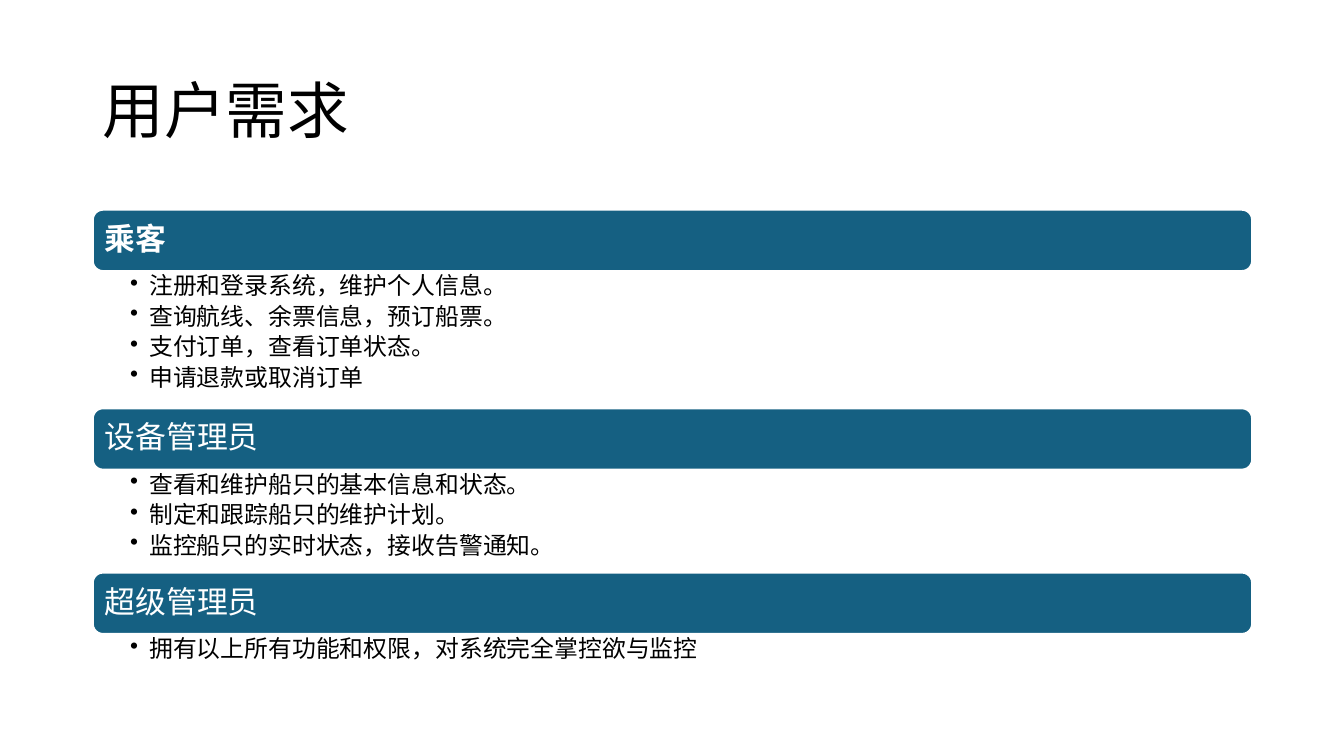
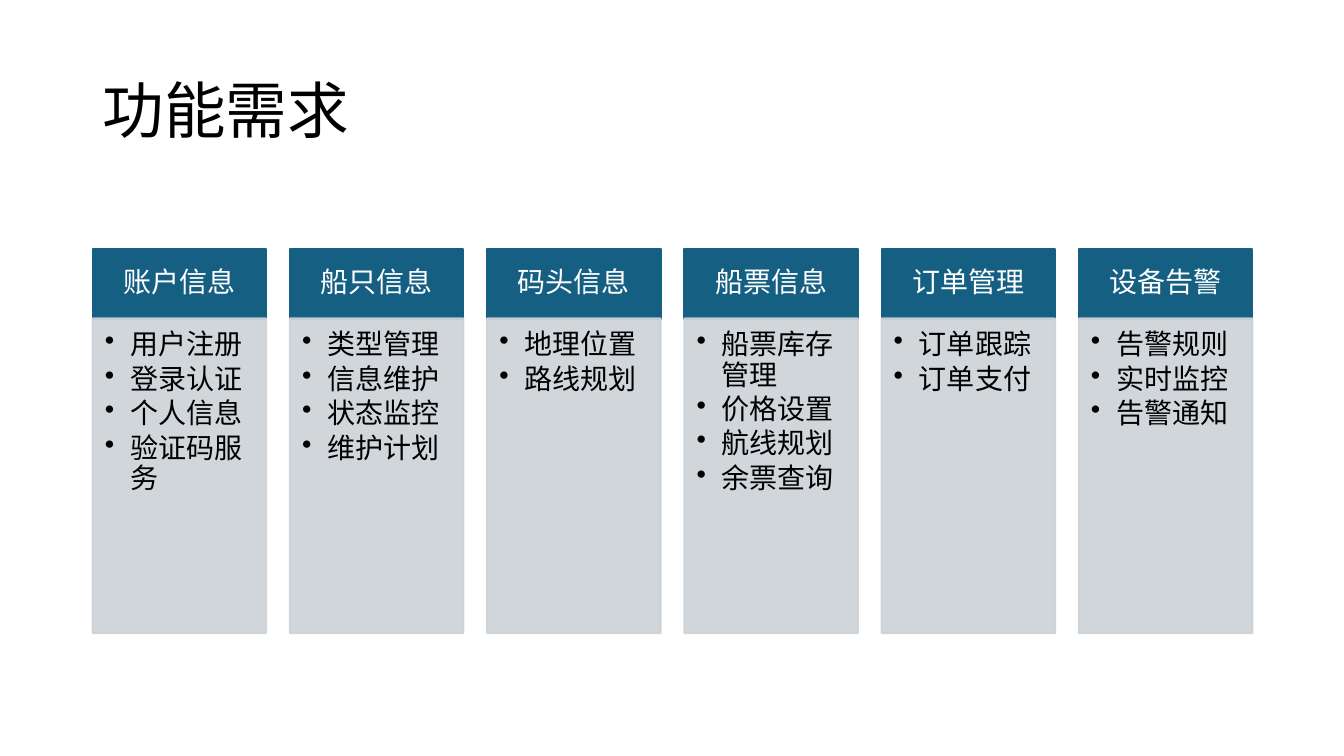
from lxml.etree import SubElement
from pptx import Presentation
from pptx.dml.color import RGBColor
from pptx.enum.shapes import MSO_SHAPE
from pptx.enum.text import MSO_ANCHOR, PP_ALIGN
from pptx.oxml.ns import qn
from pptx.util import Inches, Pt

COLORS = {"accent": "156082", "panel": "CCD2D8", "white": "FFFFFF", "black": "000000"}
FONT = "Times New Roman"
LEFT, CONTENT_WIDTH = 0.92, 11.5

USER_NEEDS = [
    ("乘客", ["注册和登录系统，维护个人信息。", "查询航线、余票信息，预订船票。",
            "支付订单，查看订单状态。", "申请退款或取消订单"]),
    ("设备管理员", ["查看和维护船只的基本信息和状态。", "制定和跟踪船只的维护计划。",
               "监控船只的实时状态，接收告警通知。"]),
    ("超级管理员", ["拥有以上所有功能和权限，对系统完全掌控欲与监控"]),
]
FUNCTION_NEEDS = [
    ("账户信息", ["用户注册", "登录认证", "个人信息", "验证码服务"]),
    ("船只信息", ["类型管理", "信息维护", "状态监控", "维护计划"]),
    ("码头信息", ["地理位置", "路线规划"]),
    ("船票信息", ["船票库存管理", "价格设置", "航线规划", "余票查询"]),
    ("订单管理", ["订单跟踪", "订单支付"]),
    ("设备告警", ["告警规则", "实时监控", "告警通知"]),
]


def color(name):
    """Return the palette colour of that name."""
    return RGBColor.from_string(COLORS[name])


def add_box(slide, box, kind, fill, line, opacity=100):
    """Add a filled preset shape with a 1.5 pt outline."""
    shape = slide.shapes.add_shape(kind, *map(Inches, box))
    shape.shadow.inherit = False
    shape.fill.solid()
    shape.fill.fore_color.rgb = color(fill)
    shape.line.color.rgb = color(line)
    shape.line.width = Pt(1.5)
    if opacity < 100:
        for swatch in shape.element.spPr.iter(qn("a:srgbClr")):
            SubElement(swatch, qn("a:alpha"), val=str(opacity * 1000))
    return shape


def add_textbox(slide, box):
    """Add an empty text box."""
    return slide.shapes.add_textbox(*map(Inches, box))


def write(shape, lines, size, ink="black", insets=(0.1, 0.05, 0.1, 0.05),
          anchor=MSO_ANCHOR.TOP, align=PP_ALIGN.LEFT, bold=False, after=0, hang=0):
    """Write paragraphs, bulleted when hang is given; after is a share of the size."""
    frame = shape.text_frame
    frame.word_wrap = True
    frame.vertical_anchor = anchor
    (frame.margin_left, frame.margin_top,
     frame.margin_right, frame.margin_bottom) = map(Inches, insets)
    frame.text = "\n".join(lines)
    for paragraph in frame.paragraphs:
        paragraph.alignment = align
        paragraph.line_spacing = 0.9
        paragraph.space_after = Pt(size * after)
        paragraph.font.name = FONT
        paragraph.font.size = Pt(size)
        paragraph.font.bold = bold
        paragraph.font.color.rgb = color(ink)
        if hang:
            properties = paragraph._p.get_or_add_pPr()
            properties.set("marL", str(Inches(hang)))
            properties.set("indent", str(-Inches(hang)))
            bullet = properties.makeelement(qn("a:buChar"), {"char": "•"})
            properties.insert_element_before(bullet, "a:tabLst", "a:defRPr", "a:extLst")


def add_titled_slide(presentation, title):
    """Add a blank slide with the shared title style."""
    slide = presentation.slides.add_slide(presentation.slide_layouts[6])
    heading = add_textbox(slide, (LEFT, 0.4, CONTENT_WIDTH, 1.45))
    write(heading, [title], 44, anchor=MSO_ANCHOR.MIDDLE)
    return slide


def add_role_section(slide, left, top, width, role, needs, bold):
    """Add a role band with its list and return the bottom edge."""
    band_height, list_height = 0.61, 0.34 * len(needs)
    band = add_box(slide, (left, top, width, band_height),
                   MSO_SHAPE.ROUNDED_RECTANGLE, "accent", "white")
    write(band, [role], 22, "white", (0.09,) * 4, MSO_ANCHOR.MIDDLE, bold=bold, after=0.35)
    need_list = add_textbox(slide, (left, top + band_height, width, list_height))
    write(need_list, needs, 17, insets=(0.37, 0.03, 0.17, 0.03), after=0.2, hang=0.19)
    return top + band_height + list_height


def add_function_card(slide, left, top, width, height, heading, items):
    """Add a card with a heading block above a bulleted panel."""
    head_height = 0.69
    head = add_box(slide, (left, top, width, head_height),
                   MSO_SHAPE.RECTANGLE, "accent", "accent")
    write(head, [heading], 20, "white", (0.16, 0.09, 0.16, 0.09),
          MSO_ANCHOR.MIDDLE, PP_ALIGN.CENTER, after=0.35)
    panel = add_box(slide, (left, top + head_height, width, height - head_height),
                    MSO_SHAPE.RECTANGLE, "panel", "panel", opacity=90)
    write(panel, items, 20, insets=(0.12, 0.12, 0.16, 0.17), after=0.15, hang=0.25)


def add_user_slide(presentation):
    """Stack one section for each user role."""
    slide = add_titled_slide(presentation, "用户需求")
    top = 2.08
    for index, (role, needs) in enumerate(USER_NEEDS):
        top = add_role_section(slide, LEFT, top, CONTENT_WIDTH, role, needs, index == 0)


def add_function_slide(presentation):
    """Spread one card for each function group over the content width."""
    slide = add_titled_slide(presentation, "功能需求")
    card_width = 1.72
    pitch = (CONTENT_WIDTH - card_width) / (len(FUNCTION_NEEDS) - 1)
    for index, (heading, items) in enumerate(FUNCTION_NEEDS):
        add_function_card(slide, LEFT + index * pitch, 2.47, card_width, 3.81, heading, items)


def main():
    """Build and save the presentation."""
    presentation = Presentation()
    presentation.slide_width = Inches(13.33)
    presentation.slide_height = Inches(7.5)
    add_user_slide(presentation)
    add_function_slide(presentation)
    presentation.save("out.pptx")


if __name__ == "__main__":
    main()
